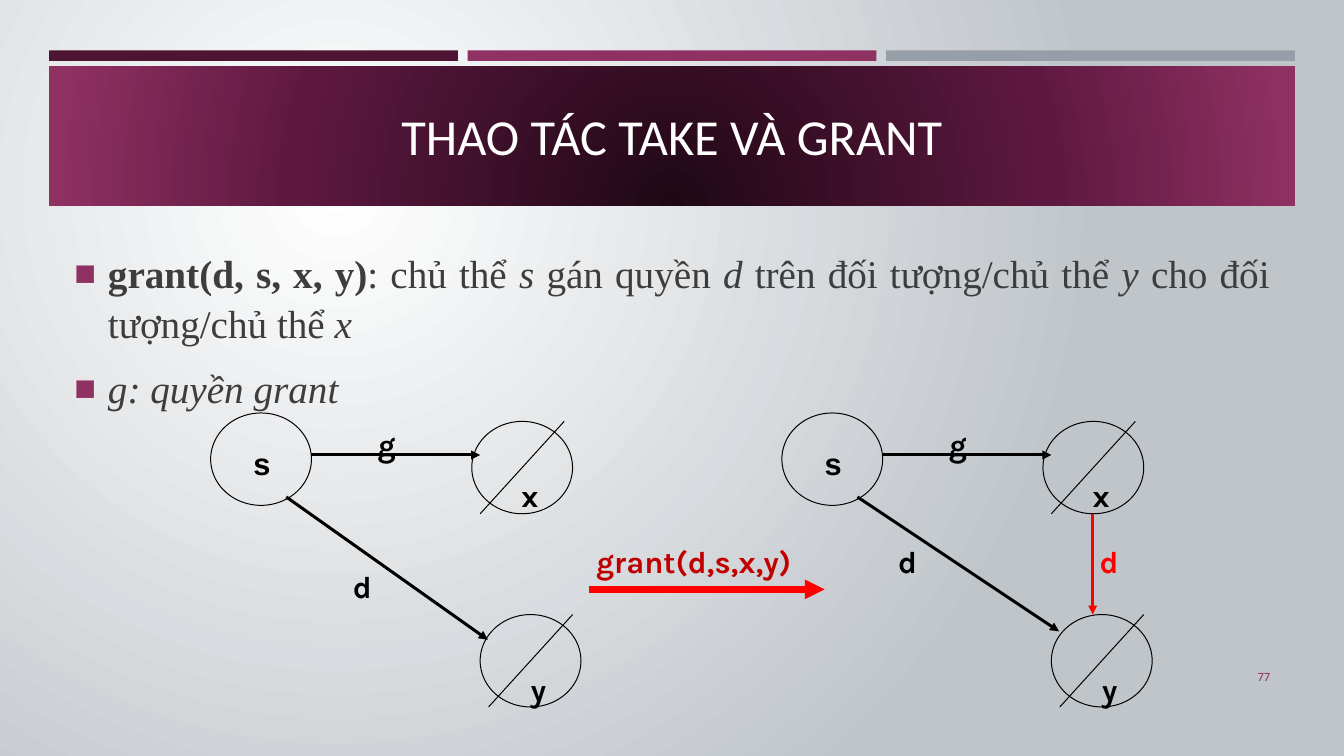
from lxml import etree
from pptx import Presentation
from pptx.dml.color import RGBColor
from pptx.enum.shapes import MSO_CONNECTOR, MSO_SHAPE
from pptx.enum.text import MSO_ANCHOR, PP_ALIGN
from pptx.oxml import parse_xml
from pptx.oxml.ns import nsdecls, qn
from pptx.util import Pt

RECTANGLE, OVAL = MSO_SHAPE.RECTANGLE, MSO_SHAPE.OVAL
STRAIGHT = MSO_CONNECTOR.STRAIGHT
TOP, MIDDLE = MSO_ANCHOR.TOP, MSO_ANCHOR.MIDDLE
LEFT, CENTER, RIGHT, JUSTIFY = PP_ALIGN.LEFT, PP_ALIGN.CENTER, PP_ALIGN.RIGHT, PP_ALIGN.JUSTIFY
color = RGBColor.from_string
BLACK, RED, PLUM = "000000", "FF0000", "903163"

presentation = Presentation()
presentation.slide_width, presentation.slide_height = Pt(960), Pt(540)
slide = presentation.slides.add_slide(presentation.slide_layouts[6])
shapes = slide.shapes


def add_text(box, paragraphs, font, anchor=TOP, align=LEFT, inset=(7.2, 3.6), **spacing):
    frame = shapes.add_textbox(*map(Pt, box)).text_frame
    frame.word_wrap = True
    frame.vertical_anchor = anchor
    frame.margin_left = frame.margin_right = Pt(inset[0])
    frame.margin_top = frame.margin_bottom = Pt(inset[1])
    for index, runs in enumerate(paragraphs):
        paragraph = frame.add_paragraph() if index else frame.paragraphs[0]
        paragraph.alignment = align
        for name, value in spacing.items():
            setattr(paragraph, name, value)
        for text, style in runs:
            run = paragraph.add_run()
            run.text = text
            values = {**font, **style}
            run.font.color.rgb = color(values.pop("color"))
            for name, value in values.items():
                setattr(run.font, name, value)
    return frame


def add_line(start, end, line_color, width, arrow=False):
    line = shapes.add_connector(STRAIGHT, *map(Pt, (*start, *end)))
    line.line.color.rgb = color(line_color)
    line.line.width = Pt(width)
    if arrow:
        etree.SubElement(line.line._get_or_add_ln(), qn("a:tailEnd"), type="triangle")
    etree.SubElement(line.element.spPr, qn("a:effectLst"))


slide.background.fill.solid()
bars = [
    (35, 36, 292, 7.5, "4D1434"),
    (633, 36, 292, 7.5, "969FA7"),
    (334, 36, 292, 7.5, PLUM),
    (35, 47.5, 890, 99.5, PLUM),
]
for *box, bar_color in bars:
    bar = shapes.add_shape(RECTANGLE, *map(Pt, box))
    bar.shadow.inherit = False
    bar.fill.solid()
    bar.fill.fore_color.rgb = color(bar_color)
    bar.line.fill.background()

gradients = [
    (slide.element.xpath(".//p:bgPr/a:solidFill")[0],
     [(0, "FFFFFF"), (100, "C0C5CA")], (50, 50, 100, 100)),
    (bar.element.xpath("p:spPr/a:solidFill")[0],
     [(0, "1F0815"), (60, "5D183F"), (100, PLUM)], (50, 130, 50, -30)),
]
for solid, stops, focus in gradients:
    stop_xml = "".join(
        f'<a:gs pos="{position * 1000}"><a:srgbClr val="{value}"/></a:gs>' for position, value in stops)
    edges = " ".join(f'{side}="{percent * 1000}"' for side, percent in zip("ltrb", focus))
    solid.getparent().replace(solid, parse_xml(
        f'<a:gradFill {nsdecls("a")} rotWithShape="1"><a:gsLst>{stop_xml}</a:gsLst>'
        f'<a:path path="circle"><a:fillToRect {edges}/></a:path></a:gradFill>'))

bold, italic = {"bold": True}, {"italic": True}
body_paragraphs = [
    [("grant(d, s, x, y)", bold), (": chủ thể ", {}), ("s ", italic), ("gán quyền ", {}),
     ("d ", italic), ("trên đối tượng/chủ thể ", {}), ("y ", italic),
     ("cho đối tượng/chủ thể ", {}), ("x", italic)],
    [("g: quyền grant", italic)],
]
body = add_text((46, 173, 868, 333), body_paragraphs,
                {"name": "Times New Roman", "size": Pt(28), "color": "3D3D3D"},
                align=JUSTIFY, space_after=Pt(6), line_spacing=1.05)
body.paragraphs[1].space_before = Pt(5.6)
for paragraph in body.paragraphs:
    properties = paragraph._p.get_or_add_pPr()
    properties.set("marL", str(Pt(24)))
    properties.set("indent", str(-Pt(24)))
    bullet_color = etree.SubElement(properties, qn("a:buClr"))
    etree.SubElement(bullet_color, qn("a:srgbClr"), val=PLUM)
    etree.SubElement(properties, qn("a:buSzPct"), val="92000")
    etree.SubElement(properties, qn("a:buFont"), typeface="Arial")
    etree.SubElement(properties, qn("a:buChar"), char="■")

calibri = {"name": "Calibri"}
add_text((46, 57.5, 868, 78), [[("THAO TÁC TAKE VÀ GRANT", {})]],
         {**calibri, "size": Pt(36), "color": "FFFFFF"}, MIDDLE, CENTER)
add_text((831.5, 469, 83, 29), [[("77", {})]],
         {**calibri, "size": Pt(9), "color": PLUM}, MIDDLE, RIGHT)

nodes = [(150.5, 295, False), (337, 301, True), (343, 439, True)]
labels = [("grant(d,s,x,y)", 426, 386, 201, "Karla", "C00000"), ("d", 785.5, 386, 19, "Karla", RED)]
for offset, tip, d_left, d_top in [(0, 457, 252, 404), (408, 451, 233.5, 386)]:
    for left, top, is_object in nodes:
        left += offset
        circle = shapes.add_shape(OVAL, Pt(left), Pt(top), Pt(72), Pt(66))
        circle.shadow.inherit = False
        circle.fill.background()
        circle.line.color.rgb = color(BLACK)
        circle.line.width = Pt(0.72)
        if is_object:
            add_line((left + 66, top), (left + 6, top + 66), BLACK, 0.72)
    add_line((offset + 222.5, 325), (offset + 343, 325), BLACK, 2.16, True)
    add_line((offset + 204.5, 355), (offset + 348.5, tip), BLACK, 2.16, True)
    for text, left, top, name in [("g", 270, 302, "Karla"), ("s", 181, 316, "Arial"),
                                  ("x", 372.5, 339, "Karla"), ("y", 379, 477.5, "Karla"),
                                  ("d", d_left, d_top, "Karla")]:
        labels.append((text, offset + left, top, 19, name, BLACK))

add_line((780.5, 367), (780.5, 439), RED, 2.16, True)
add_line((420.5, 421), (589, 421), RED, 4.7, True)
for text, left, top, width, name, label_color in labels:
    add_text((left, top, width, 28), [[(text, {})]],
             {"name": name, "size": Pt(22), "bold": True, "color": label_color},
             inset=(0, 0), line_spacing=1.07, space_after=Pt(8))

presentation.save("out.pptx")
